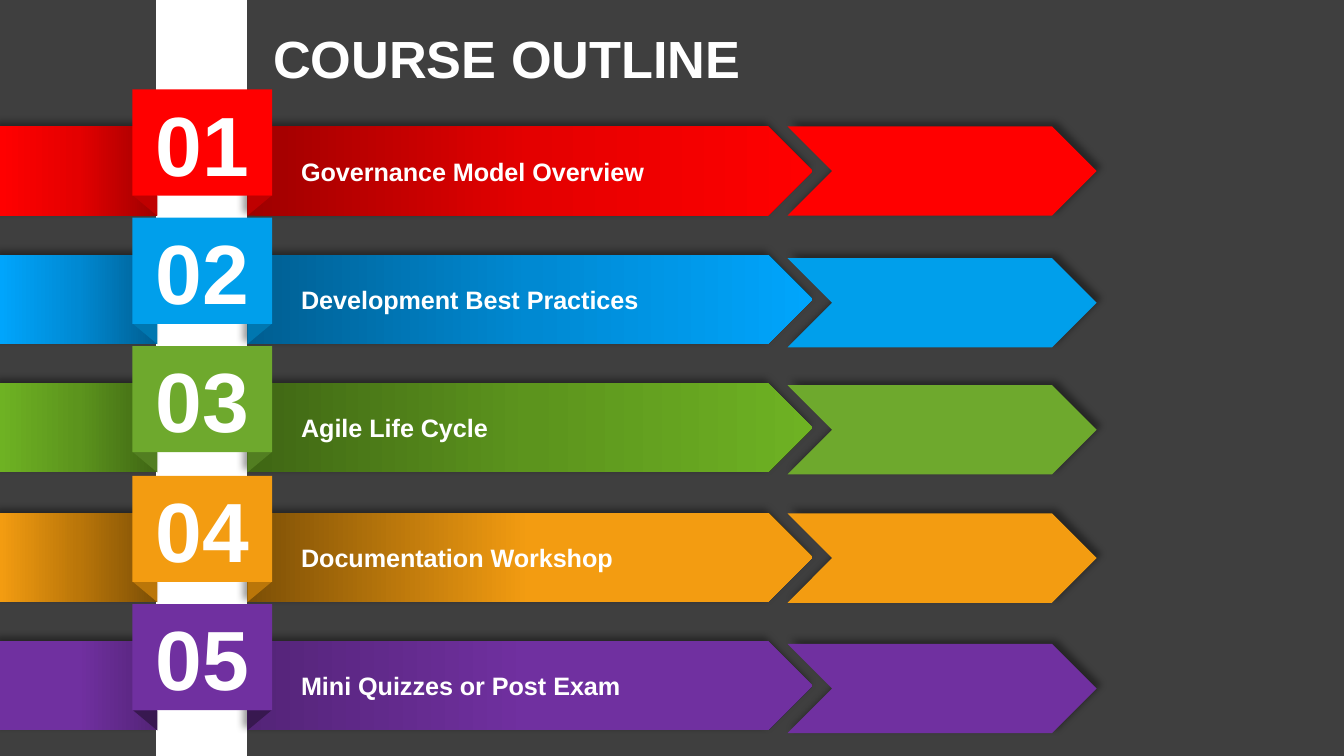
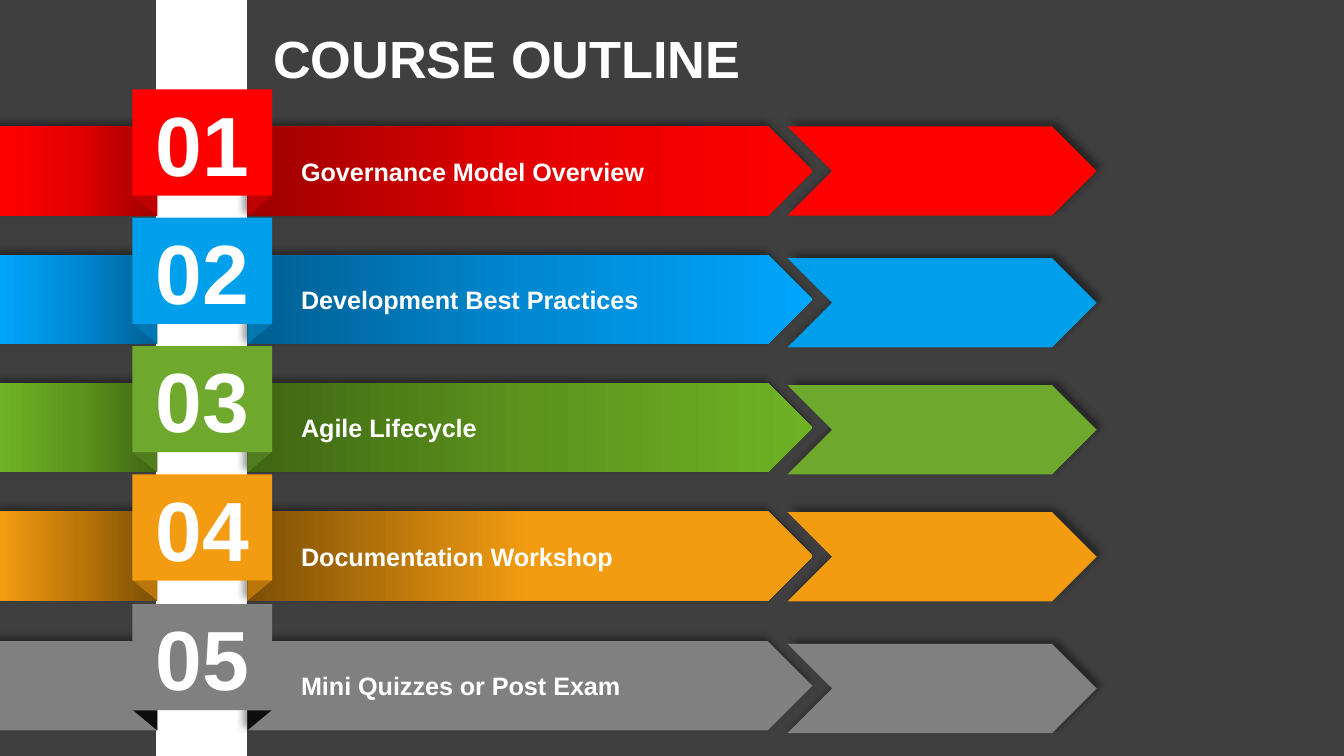
from copy import deepcopy
from typing import NamedTuple

from lxml import etree
from pptx import Presentation
from pptx import util as u
from pptx.dml.color import RGBColor
from pptx.enum import shapes, text
from pptx.oxml import ns

PX = 4572  # EMU in one px: 200 px to the inch
WIDE, HIGH = 2000, 1125

# Colours
WHITE = RGBColor(0xFF, 0xFF, 0xFF)
DARK = RGBColor(0x3F, 0x3F, 0x3F)
BLACK = RGBColor(0x0D, 0x0D, 0x0D)
RED = RGBColor(0xFF, 0x00, 0x00)
RED_MID = RGBColor(0xE4, 0x00, 0x00)
RED_LOW = RGBColor(0x9E, 0x00, 0x00)
RED_FOLD = RGBColor(0xBF, 0x00, 0x00)
BLUE = RGBColor(0x00, 0x9F, 0xEB)
BLUE_TOP = RGBColor(0x00, 0xA5, 0xFC)
BLUE_MID = RGBColor(0x00, 0x89, 0xD2)
BLUE_LOW = RGBColor(0x00, 0x5E, 0x91)
BLUE_FOLD = RGBColor(0x00, 0x77, 0xB0)
GREEN = RGBColor(0x6E, 0xA9, 0x2D)
GREEN_TOP = RGBColor(0x6E, 0xB2, 0x23)
GREEN_MID = RGBColor(0x5C, 0x94, 0x1D)
GREEN_LOW = RGBColor(0x3F, 0x66, 0x14)
GREEN_FOLD = RGBColor(0x52, 0x7E, 0x21)
GOLD = RGBColor(0xF3, 0x9C, 0x11)
GOLD_MID = RGBColor(0xBA, 0x76, 0x09)
GOLD_LOW = RGBColor(0x7C, 0x4F, 0x06)
PLUM = RGBColor(0x70, 0x30, 0xA0)
PLUM_LOW = RGBColor(0x54, 0x24, 0x78)
PLUM_FOLD = RGBColor(0x38, 0x18, 0x50)
GREY = RGBColor(0x80, 0x80, 0x80)

Fill = RGBColor | tuple[RGBColor, ...]
KIND = shapes.MSO_SHAPE


class Look(NamedTuple):
    main: RGBColor
    fold: RGBColor
    bar: Fill
    tail: Fill


class Row(NamedTuple):
    label: str
    look: Look
    top: int  # top of the number tile
    tip: int  # top of the chevron


def ramp(main: RGBColor, fold: RGBColor, *stops: RGBColor) -> Look:
    return Look(main, fold, stops, stops)


RED_LOOK = ramp(RED, RED_FOLD, RED_LOW, RED_MID, RED)
BLUE_LOOK = ramp(BLUE, BLUE_FOLD, BLUE_LOW, BLUE_MID, BLUE_TOP)
GREEN_LOOK = ramp(GREEN, GREEN_FOLD, GREEN_LOW, GREEN_MID, GREEN_TOP)
GOLD_LOOK = Look(GOLD, GOLD_MID, (GOLD_LOW, GOLD, GOLD),
                 (GOLD_LOW, GOLD_MID, GOLD))
PLUM_LOOK = ramp(PLUM, PLUM_FOLD, PLUM_LOW, PLUM, PLUM)
GREY_LOOK = Look(GREY, BLACK, GREY, GREY)

START = [Row("Governance Model Overview", RED_LOOK, 133, 188),
         Row("Development Best Practices", BLUE_LOOK, 324, 384)]
DECKS = [
    START + [Row("Agile Life Cycle", GREEN_LOOK, 515, 573),
             Row("Documentation Workshop", GOLD_LOOK, 708, 764),
             Row("Mini Quizzes or Post Exam", PLUM_LOOK, 899, 958)],
    START + [Row("Agile Lifecycle", GREEN_LOOK, 515, 573),
             Row("Documentation Workshop", GOLD_LOOK, 706, 762),
             Row("Mini Quizzes or Post Exam", GREY_LOOK, 899, 958)],
]


def paint(shape, fill: Fill, angle: int) -> None:
    if isinstance(fill, RGBColor):
        shape.fill.solid()
        shape.fill.fore_color.rgb = fill
        return
    shape.fill.gradient()
    shape.fill.gradient_angle = angle
    first = shape._element.spPr.find(".//" + ns.qn("a:gs"))
    first.addnext(deepcopy(first))
    for stop, place, color in zip(shape.fill.gradient_stops, (0, 0.5, 1), fill):
        stop.position = place
        stop.color.rgb = color


def shade(shape, angle: int) -> None:
    """Cast a soft black shadow towards the angle."""
    box = shape._element.spPr.find(ns.qn("a:effectLst"))
    cast = etree.SubElement(box, ns.qn("a:outerShdw"), blurRad=str(u.Pt(4)),
                            dist=str(u.Pt(3)), dir=str(angle * 60000),
                            algn="ctr", rotWithShape="0")
    tone = etree.SubElement(cast, ns.qn("a:srgbClr"), val="000000")
    etree.SubElement(tone, ns.qn("a:alpha"), val="40000")


def draw(home, kind: KIND, left: int, top: int, wide: int, high: int,
         fill: Fill, angle: int = 0, cast: int | None = None):
    shape = home.add_shape(kind, left * PX, top * PX, wide * PX, high * PX)
    shape.shadow.inherit = False
    shape.line.fill.background()
    paint(shape, fill, angle)
    if cast is not None:
        shade(shape, cast)
    return shape


def write(shape, words: str, *, size: float, pad: tuple[int, int] = (15, 8),
          align=text.PP_ALIGN.LEFT, anchor=text.MSO_ANCHOR.MIDDLE,
          indent: int = 0) -> None:
    frame = shape.text_frame
    frame.word_wrap = True
    frame.vertical_anchor = anchor
    frame.margin_left = frame.margin_right = pad[0] * PX
    frame.margin_top = frame.margin_bottom = pad[1] * PX
    para = frame.paragraphs[0]
    para.alignment = align
    if indent:
        para._p.get_or_add_pPr().set("marL", str(indent * PX))
    run = para.add_run()
    run.text = words
    run.font.name, run.font.size, run.font.bold = "Arial", u.Pt(size), True
    run.font.color.rgb = WHITE


def band(slide, num: int, row: Row) -> None:
    """Draw one numbered ribbon and its chevron."""
    look, bar, fold = row.look, row.top + 55, row.top + 158
    home = slide.shapes.add_group_shape().shapes
    arrow = draw(home, KIND.PENTAGON, 368, bar, 841, 133, look.bar, cast=225)
    write(arrow, row.label, size=13.5, indent=65)
    draw(home, KIND.RECTANGLE, 0, bar, 234, 133, look.tail, 180, 225)
    for left, flip in ((368, True), (198, False)):
        flap = draw(home, KIND.RIGHT_TRIANGLE, left, fold, 36, 30, look.fold)
        flap.rotation = 180
        if flip:
            flap._element.spPr.xfrm.set("flipH", "1")
    tile = draw(home, KIND.RECTANGLE, 197, row.top, 208, 158, look.main)
    write(tile, f"{num:02}", size=45, align=text.PP_ALIGN.CENTER)
    draw(slide.shapes, KIND.CHEVRON, 1172, row.tip, 460, 133, look.main,
         cast=315)


def build(deck, rows: list[Row]) -> None:
    slide = deck.slides.add_slide(deck.slide_layouts[6])
    slide.background.fill.solid()
    slide.background.fill.fore_color.rgb = DARK
    # White spine
    spine = draw(slide.shapes, KIND.RECTANGLE, 233, 0, 134, HIGH, WHITE)
    spine.line.color.rgb = WHITE
    spine.line.width = u.Pt(1)
    # Ribbons
    for num, row in enumerate(rows, 1):
        band(slide, num, row)
    # Title
    title = slide.shapes.add_textbox(387 * PX, 19 * PX, 1864 * PX, 126 * PX)
    write(title, "COURSE OUTLINE", size=28, pad=(20, 20),
          anchor=text.MSO_ANCHOR.TOP)


def main() -> None:
    deck = Presentation()
    deck.slide_width, deck.slide_height = WIDE * PX, HIGH * PX
    for rows in DECKS:
        build(deck, rows)
    deck.save("out.pptx")


if __name__ == "__main__":
    main()
